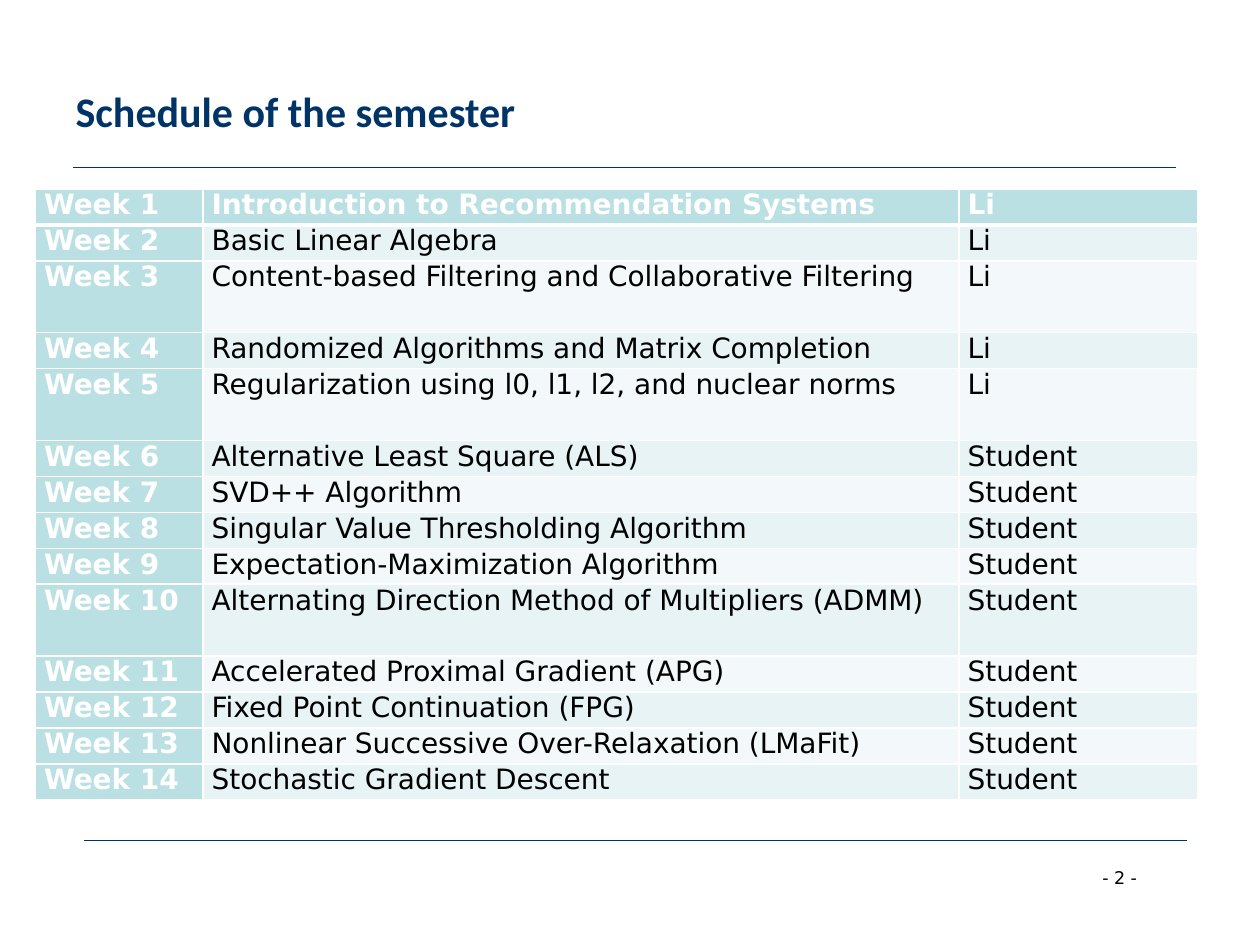
"""Build a one-slide deck showing the weekly schedule of the semester."""
from dataclasses import dataclass

from lxml import etree
from pptx import Presentation
from pptx.dml.color import RGBColor
from pptx.enum.shapes import MSO_CONNECTOR
from pptx.enum.text import MSO_ANCHOR, PP_ALIGN
from pptx.oxml.ns import qn
from pptx.util import Inches, Pt

STRAIGHT = MSO_CONNECTOR.STRAIGHT
MIDDLE = MSO_ANCHOR.MIDDLE
LEFT = PP_ALIGN.LEFT


@dataclass(frozen=True)
class Theme:
    navy: str = "003366"
    teal: str = "BBE0E3"
    bands: tuple = ("F3F9FA", "E7F3F4")
    white: str = "FFFFFF"
    black: str = "000000"
    title_font: str = "Calibri"
    body_font: str = "DejaVu Sans"
    title_size: int = 24
    body_size: int = 16
    number_size: int = 10


THEME = Theme()
TITLE = "Schedule of the semester"
PAGE_NUMBER = "- 2 -"
SESSIONS = [
    ("Introduction to Recommendation Systems", "Li"),
    ("Basic Linear Algebra", "Li"),
    ("Content-based Filtering and Collaborative Filtering", "Li"),
    ("Randomized Algorithms and Matrix Completion", "Li"),
    ("Regularization using l0, l1, l2, and nuclear norms", "Li"),
    ("Alternative Least Square (ALS)", "Student"),
    ("SVD++ Algorithm", "Student"),
    ("Singular Value Thresholding Algorithm", "Student"),
    ("Expectation-Maximization Algorithm", "Student"),
    ("Alternating Direction Method of Multipliers (ADMM)", "Student"),
    ("Accelerated Proximal Gradient (APG)", "Student"),
    ("Fixed Point Continuation (FPG)", "Student"),
    ("Nonlinear Successive Over-Relaxation (LMaFit)", "Student"),
    ("Stochastic Gradient Descent", "Student"),
]
DOUBLE_HEIGHT_WEEKS = {3, 5, 10}
COLUMN_WIDTHS = (1.33, 6, 1.9)
TABLE_LEFT, TABLE_TOP, TABLE_HEIGHT = 0.28, 1.5, 4.85
RULE_WIDTH = 8.75
RULE_STARTS = [(0.58, 1.33), (0.67, 6.67)]


def add_span(para, text, font, size, color, bold=False):
    span = para.add_run()
    span.text = text
    span.font.name = font
    span.font.size = Pt(size)
    span.font.bold = bold
    span.font.color.rgb = RGBColor.from_string(color)


def add_rule(page, left, top):
    rule = page.shapes.add_connector(
        STRAIGHT, Inches(left), Inches(top), Inches(left + RULE_WIDTH), Inches(top))
    rule.line.color.rgb = RGBColor.from_string(THEME.navy)
    rule.line.width = Pt(0.75)
    etree.SubElement(rule._element.spPr, qn("a:effectLst"))


def set_borders(cell, widths):
    properties = cell._tc.get_or_add_tcPr()
    for side, width in widths.items():
        line = etree.SubElement(properties, qn(f"a:ln{side}"), w=str(Pt(width)))
        fill = etree.SubElement(line, qn("a:solidFill"))
        etree.SubElement(fill, qn("a:srgbClr"), val=THEME.white)


def fill_cell(cell, text, row, column):
    emphasized = row == 0 or column == 0
    set_borders(cell, {"L": 1, "R": 1, "T": 3 if row == 1 else 1, "B": 3 if row == 0 else 1})
    cell.fill.solid()
    background = THEME.teal if emphasized else THEME.bands[row % 2]
    cell.fill.fore_color.rgb = RGBColor.from_string(background)
    cell.margin_left = cell.margin_right = Inches(0.07)
    cell.margin_top = cell.margin_bottom = 0
    add_span(cell.text_frame.paragraphs[0], text, THEME.body_font, THEME.body_size,
             THEME.white if emphasized else THEME.black, emphasized)


def add_schedule(page):
    units = [2 if week in DOUBLE_HEIGHT_WEEKS else 1 for week in range(1, len(SESSIONS) + 1)]
    table = page.shapes.add_table(
        len(SESSIONS), len(COLUMN_WIDTHS), Inches(TABLE_LEFT), Inches(TABLE_TOP),
        Inches(sum(COLUMN_WIDTHS)), Inches(TABLE_HEIGHT)).table
    table.first_col = True
    for column, width in zip(table.columns, COLUMN_WIDTHS):
        column.width = Inches(width)
    for row, (topic, speaker) in enumerate(SESSIONS):
        table.rows[row].height = Inches(TABLE_HEIGHT * units[row] / sum(units))
        for column, text in enumerate((f"Week {row + 1}", topic, speaker)):
            fill_cell(table.cell(row, column), text, row, column)


def add_title(page):
    title = page.shapes.title
    title.left, title.top, title.width, title.height = map(Inches, (0.5, 0.25, 9, 1.25))
    title.text_frame.vertical_anchor = MIDDLE
    para = title.text_frame.paragraphs[0]
    para.alignment = LEFT
    add_span(para, TITLE, THEME.title_font, THEME.title_size, THEME.navy, True)


def add_page_number(page):
    box = page.shapes.add_textbox(*map(Inches, (8.65, 6.83, 0.76, 0.27)))
    box.text_frame.word_wrap = True
    add_span(box.text_frame.paragraphs[0], PAGE_NUMBER, THEME.body_font,
             THEME.number_size, THEME.black)


def main():
    deck = Presentation()
    deck.slide_width, deck.slide_height = Inches(10), Inches(7.5)
    page = deck.slides.add_slide(deck.slide_layouts[5])
    for left, top in RULE_STARTS:
        add_rule(page, left, top)
    add_page_number(page)
    add_title(page)
    add_schedule(page)
    deck.save("out.pptx")


if __name__ == "__main__":
    main()
